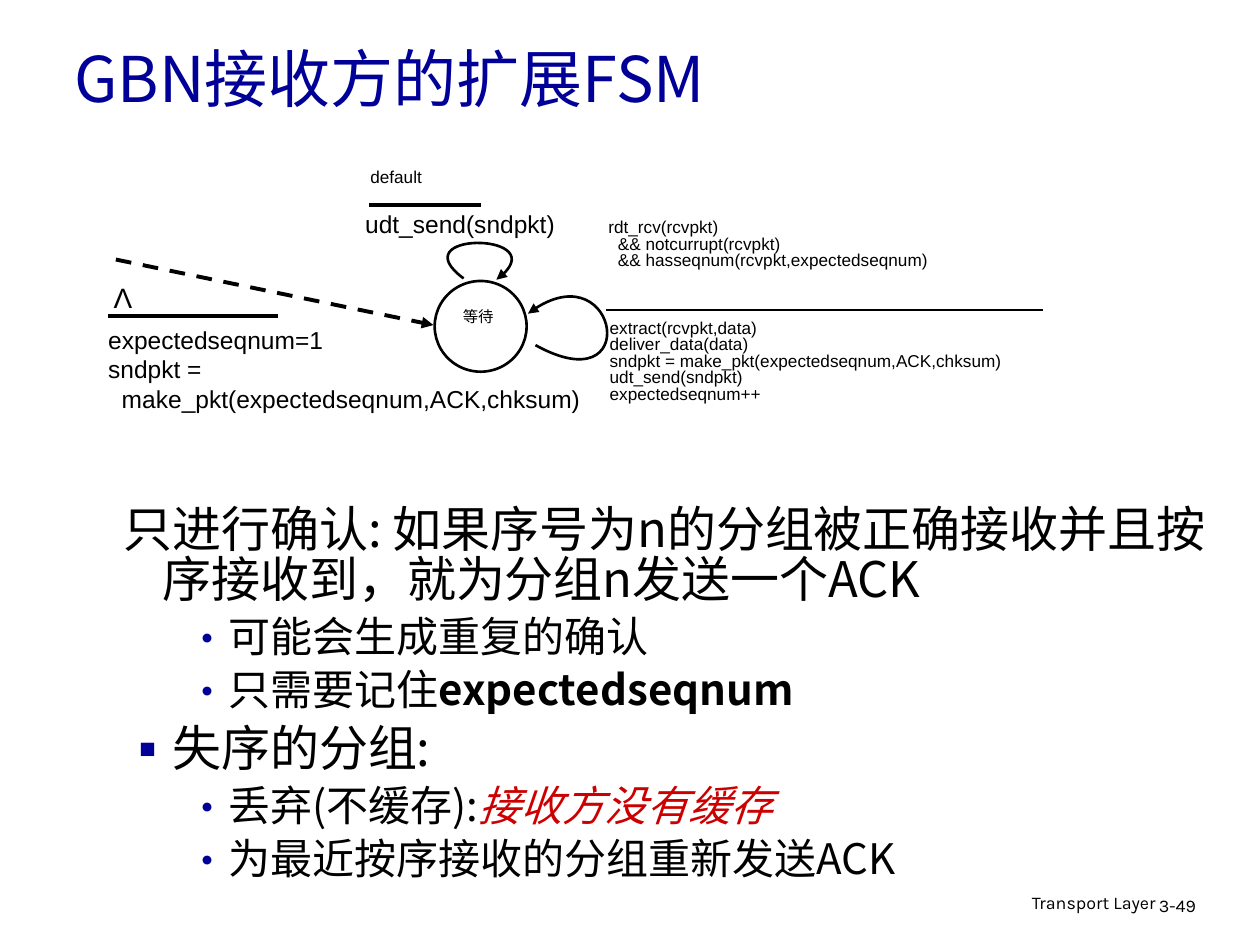
from lxml import etree
from pptx import Presentation
from pptx.dml.color import RGBColor
from pptx.enum.dml import MSO_LINE
from pptx.enum.shapes import MSO_CONNECTOR, MSO_SHAPE
from pptx.enum.text import MSO_ANCHOR, MSO_AUTO_SIZE, PP_ALIGN
from pptx.oxml.ns import qn
from pptx.util import Inches, Pt

COLOURS = {"ink": "000000", "paper": "FFFFFF", "accent": "000099", "alert": "CC0000"}
LATIN, CHINESE, FOOTER = "Arial", "Noto Sans CJK SC", "Karla"
LEFT, CENTER, RIGHT = PP_ALIGN.LEFT, PP_ALIGN.CENTER, PP_ALIGN.RIGHT
MIDDLE, TOP = MSO_ANCHOR.MIDDLE, MSO_ANCHOR.TOP
NO_FIT = MSO_AUTO_SIZE.NONE
STRAIGHT, OVAL, DASH = MSO_CONNECTOR.STRAIGHT, MSO_SHAPE.OVAL, MSO_LINE.DASH


def colour(name):
    return RGBColor.from_string(COLOURS[name])


class SlideBuilder:
    def __init__(self, slide):
        self.slide = slide
        self.shapes = slide.shapes

    def style(self, span, size, font, ink="ink", bold=False, italic=False):
        span.font.size = Pt(size)
        span.font.name = font
        span.font.color.rgb = colour(ink)
        span.font.bold = bold
        span.font.italic = italic
        if font == CHINESE:
            east_asian = etree.Element(qn("a:ea"), typeface=font)
            span.font._element.find(qn("a:latin")).addnext(east_asian)

    def place(self, shape, left, top, width, height):
        shape.left, shape.top = Inches(left), Inches(top)
        shape.width, shape.height = Inches(width), Inches(height)

    def title(self, text, bounds):
        box = self.shapes.title
        self.place(box, *bounds)
        box.text_frame.text = text
        box.text_frame.auto_size = NO_FIT
        box.text_frame.vertical_anchor = MIDDLE
        para = box.text_frame.paragraphs[0]
        para.alignment = LEFT
        self.style(para.runs[0], 36, CHINESE, "accent")

    def bullet(self, para, symbol, indent, hanging):
        properties = para._p.get_or_add_pPr()
        properties.set("marL", str(Inches(indent)))
        properties.set("indent", str(-Inches(hanging)))
        if not symbol:
            etree.SubElement(properties, qn("a:buNone"))
            return
        tint = etree.SubElement(properties, qn("a:buClr"))
        etree.SubElement(tint, qn("a:srgbClr"), val=COLOURS["accent"])
        etree.SubElement(properties, qn("a:buFont"), typeface=CHINESE)
        etree.SubElement(properties, qn("a:buChar"), char=symbol)

    def body(self, items, bounds):
        box = self.slide.placeholders[1]
        self.place(box, *bounds)
        frame = box.text_frame
        frame.auto_size = NO_FIT
        frame.vertical_anchor = TOP
        for number, (level, symbol, spans) in enumerate(items):
            para = frame.add_paragraph() if number else frame.paragraphs[0]
            para.level = level
            size, space, indent, hanging = ((28, 7, 0.31, 0.31), (24, 6, 0.75, 0.25))[level]
            self.bullet(para, symbol, indent, hanging)
            para.alignment = LEFT
            para.line_spacing = 0.85
            para.space_before = Pt(space if number else 0)
            for text, look in spans:
                span = para.add_run()
                span.text = text
                self.style(span, size, CHINESE, **look)

    def text(self, text, bounds, size, font=LATIN, align=LEFT, spacing=1.0, wrap=True):
        box = self.shapes.add_textbox(*(Inches(length) for length in bounds))
        frame = box.text_frame
        frame.word_wrap = wrap
        frame.text = text
        for para in frame.paragraphs:
            para.alignment = align
            para.line_spacing = spacing
            for span in para.runs:
                self.style(span, size, font)

    def outline(self, shape, width, arrow=False):
        shape.line.color.rgb = colour("ink")
        shape.line.width = Pt(width)
        if arrow:
            etree.SubElement(shape.line._get_or_add_ln(), qn("a:tailEnd"), type="triangle")

    def circle(self, bounds):
        shape = self.shapes.add_shape(OVAL, *(Inches(length) for length in bounds))
        shape.shadow.inherit = False
        shape.fill.solid()
        shape.fill.fore_color.rgb = colour("paper")
        self.outline(shape, 1.5)

    def line(self, start, end, width, dashed_arrow=False):
        ends = (Inches(length) for length in start + end)
        connector = self.shapes.add_connector(STRAIGHT, *ends)
        if dashed_arrow:
            connector.line.dash_style = DASH
        self.outline(connector, width, dashed_arrow)
        etree.SubElement(connector._element.spPr, qn("a:effectLst"))

    def loop(self, start, *controls_and_end):
        points = [(Inches(x), Inches(y)) for x, y in controls_and_end]
        builder = self.shapes.build_freeform(Inches(start[0]), Inches(start[1]))
        builder.add_line_segments(points, close=False)
        shape = builder.convert_to_shape()
        # Turn the three straight segments into one Bezier curve
        path = shape._element.spPr.find(".//" + qn("a:path"))
        path.set("fill", "none")
        segments = path.findall(qn("a:lnTo"))
        curve = etree.SubElement(path, qn("a:cubicBezTo"))
        for segment in segments:
            curve.append(segment[0])
            path.remove(segment)
        shape.shadow.inherit = False
        shape.fill.background()
        self.outline(shape, 1.5, arrow=True)


def main():
    deck = Presentation()
    deck.slide_width, deck.slide_height = Inches(10), Inches(7.5)
    page = SlideBuilder(deck.slides.add_slide(deck.slide_layouts[1]))

    # Title and explanation
    page.title("GBN接收方的扩展FSM", (0.49, 0.23, 8.5, 0.77))
    page.body([
        (0, None, [("只进行确认: 如果序号为n的分组被正确接收并且按序接收到，就为分组n发送一个ACK", {})]),
        (1, "•", [("可能会生成重复的确认", {})]),
        (1, "•", [("只需要记住", {}), ("expectedseqnum", {"bold": True})]),
        (0, "▪", [("失序的分组:", {})]),
        (1, "•", [("丢弃(不缓存):", {}), ("接收方没有缓存", {"ink": "alert", "italic": True})]),
        (1, "•", [("为最近按序接收的分组重新发送ACK", {})]),
    ], (0.88, 3.98, 8.91, 3.12))

    # Waiting state
    page.circle((3.45, 2.23, 0.73, 0.72))
    page.text("等待", (3.36, 2.42, 0.87, 0.26), 8.8, CHINESE, CENTER, 0.8)

    # Initial transition
    page.line((0.92, 2.06), (3.44, 2.58), 2.25, dashed_arrow=True)
    page.text("Λ", (0.8, 2.18, 0.35, 0.37), 16, align=CENTER, wrap=False)
    page.line((0.86, 2.51), (2.21, 2.51), 2.25)
    page.text("expectedseqnum=1\nsndpkt =\n  make_pkt(expectedseqnum,ACK,chksum)",
              (0.76, 2.53, 3.98, 1.07), 14)

    # Default transition
    page.loop((3.68, 2.21), (3.18, 1.84), (4.45, 1.84), (3.94, 2.22))
    page.text("default", (2.84, 1.3, 0.79, 0.27), 9.8, spacing=0.8)
    page.line((2.93, 1.63), (3.82, 1.63), 2.25)
    page.text("udt_send(sndpkt)", (2.8, 1.61, 1.77, 0.34), 14)

    # Transition for a packet received in order
    page.loop((4.25, 2.74), (5.1, 3.21), (4.9, 1.95), (4.19, 2.49))
    page.text("rdt_rcv(rcvpkt)\n  && notcurrupt(rcvpkt)\n"
              "  && hasseqnum(rcvpkt,expectedseqnum)",
              (4.73, 1.7, 3.9, 0.62), 9.8, spacing=0.8)
    page.line((4.81, 2.46), (8.28, 2.46), 1.5)
    page.text("extract(rcvpkt,data)\ndeliver_data(data)\n"
              "sndpkt = make_pkt(expectedseqnum,ACK,chksum)\n"
              "udt_send(sndpkt)\nexpectedseqnum++",
              (4.74, 2.5, 4.72, 0.94), 9.8, spacing=0.8)

    # Footer
    page.text("Transport Layer", (6.1, 7.05, 3.17, 0.31), 10.2, FOOTER, RIGHT, 0.9)
    page.text("3-49", (9.1, 7.07, 0.74, 0.3), 10.2, FOOTER, spacing=0.9)

    deck.save("out.pptx")


if __name__ == "__main__":
    main()
